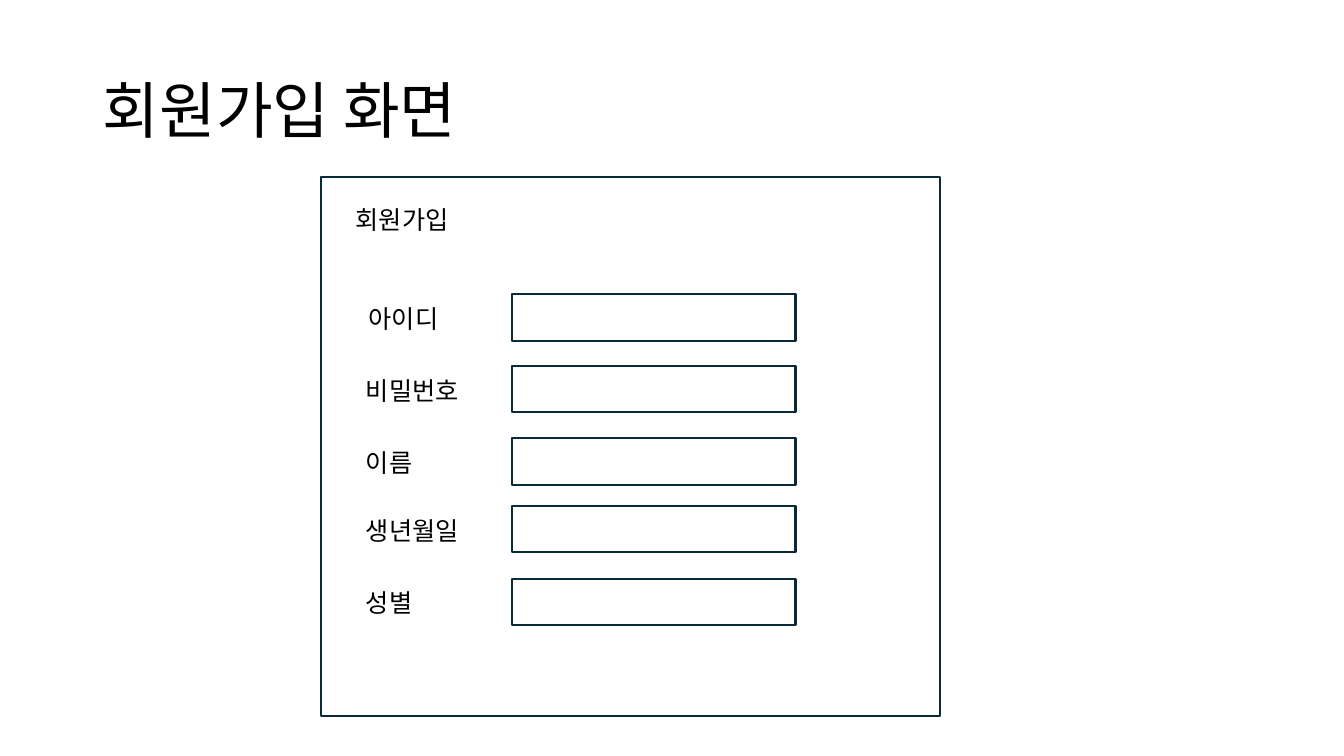
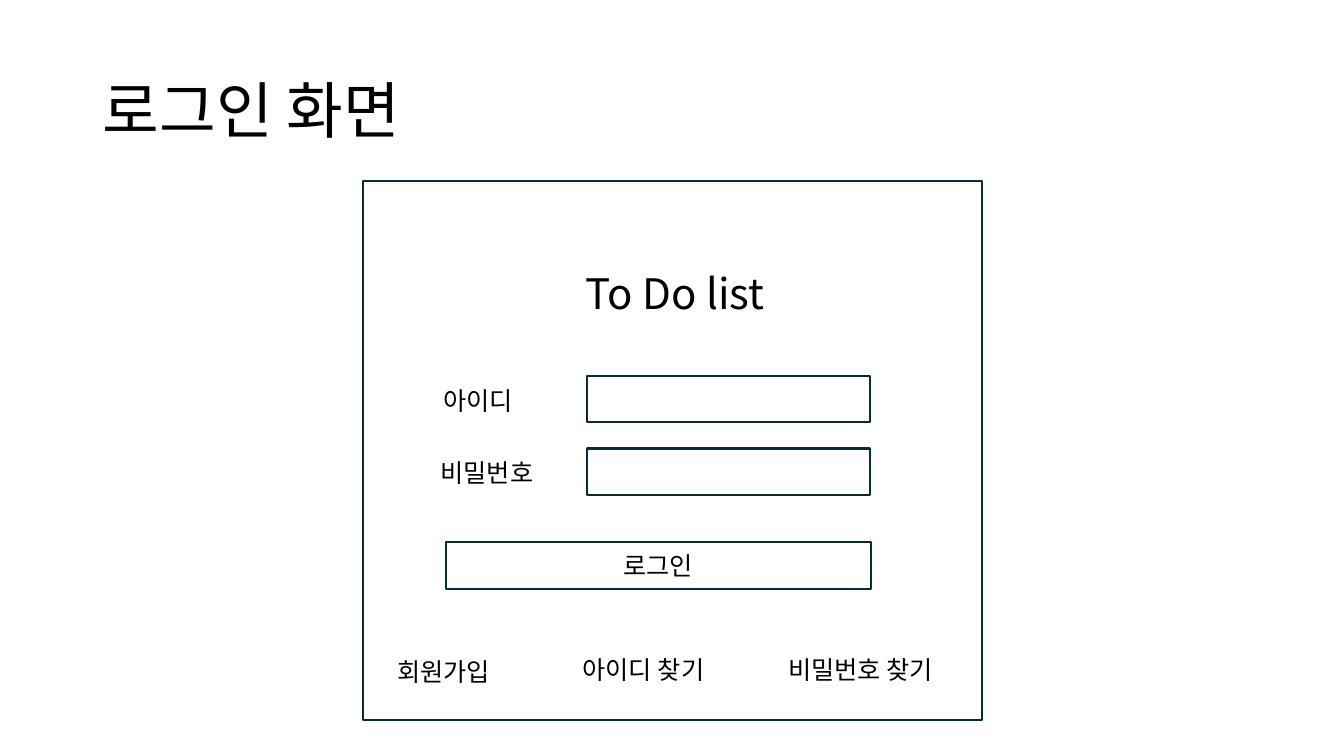
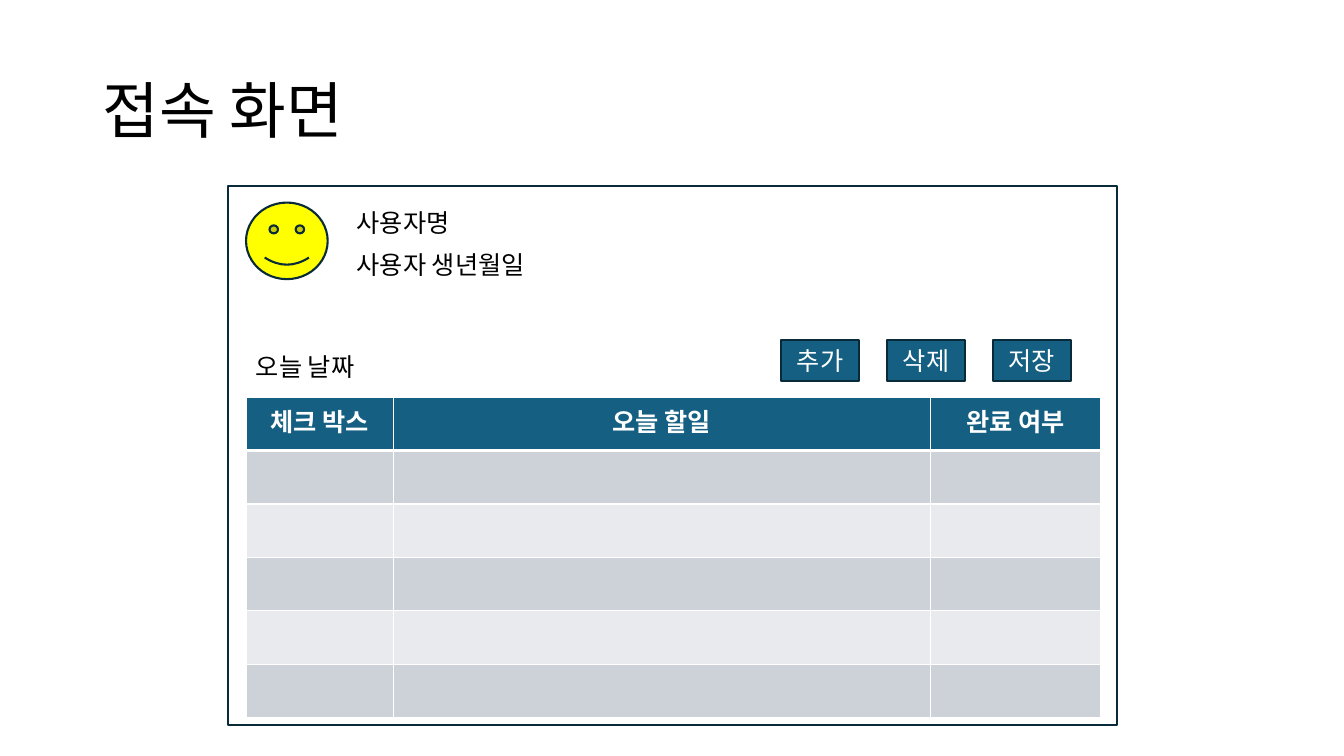
from dataclasses import dataclass

from lxml import etree
from pptx import Presentation
from pptx.dml.color import RGBColor
from pptx.enum.shapes import MSO_SHAPE
from pptx.enum.text import MSO_ANCHOR, MSO_AUTO_SIZE, PP_ALIGN
from pptx.oxml.ns import qn
from pptx.slide import Slide
from pptx.table import _Cell
from pptx.text.text import TextFrame
from pptx.util import Inches, Pt

RECT, SMILEY = MSO_SHAPE.RECTANGLE, MSO_SHAPE.SMILEY_FACE
TOP, MIDDLE = MSO_ANCHOR.TOP, MSO_ANCHOR.MIDDLE
LEFT, CENTER = PP_ALIGN.LEFT, PP_ALIGN.CENTER
GROW = MSO_AUTO_SIZE.SHAPE_TO_FIT_TEXT

FONT = "Noto Sans CJK KR"
COLORS = {
    "white": "FFFFFF",
    "black": "000000",
    "outline": "092A39",
    "accent": "156082",
    "face": "FFFF00",
    "band_dark": "CCD2D8",
    "band_light": "E8EAED",
}
FIELD_WIDTH, FIELD_HEIGHT = 2.81, 0.46
LABEL_HEIGHT, LABEL_DROP = 0.4, 0.04


@dataclass(frozen=True)
class Box:
    left: float
    top: float
    width: float
    height: float


@dataclass(frozen=True)
class Label:
    text: str
    box: Box
    size: int = 18
    wrap: bool = False


@dataclass(frozen=True)
class Field:
    """An input row: its caption starts `lead` inches left of the input box."""
    caption: str
    lead: float
    caption_width: float
    top: float


SIGNUP_FIELDS = (
    Field("아이디", 1.52, 0.96, 2.92),
    Field("비밀번호", 1.55, 1.21, 3.63),
    Field("이름", 1.55, 0.71, 4.35),
    Field("생년월일", 1.55, 1.21, 5.02),
    Field("성별", 1.55, 0.71, 5.74),
)
LOGIN_FIELDS = (
    Field("아이디", 1.52, 0.96, 3.73),
    Field("비밀번호", 1.55, 1.21, 4.45),
)
LOGIN_LABELS = (
    Label("To Do list", Box(5.71, 2.6, 2.02, 0.61), size=30),
    Label("회원가입", Box(3.84, 6.46, 1.21, LABEL_HEIGHT)),
    Label("아이디 찾기", Box(5.68, 6.44, 1.55, LABEL_HEIGHT)),
    Label("비밀번호 찾기", Box(7.72, 6.44, 1.81, LABEL_HEIGHT)),
)
HOME_LABELS = (
    Label("사용자명", Box(3.44, 2.01, 1.36, LABEL_HEIGHT), wrap=True),
    Label("사용자 생년월일", Box(3.44, 2.42, 2.15, LABEL_HEIGHT), wrap=True),
    Label("오늘 날짜", Box(2.44, 3.44, 1.3, LABEL_HEIGHT)),
)
TODO_ACTIONS = ("추가", "삭제", "저장")
TODO_COLUMNS = (("체크 박스", 1.46), ("오늘 할일", 5.33), ("완료 여부", 1.69))
TODO_ROWS, TODO_ROW_HEIGHT = 6, 0.53


def rgb(color: str) -> RGBColor:
    return RGBColor.from_string(COLORS[color])


def inches(box: Box) -> tuple[Inches, ...]:
    return tuple(Inches(v) for v in (box.left, box.top, box.width, box.height))


def write(frame: TextFrame, text: str, *, size: int = 18, color: str = "black",
          bold: bool = False, align: PP_ALIGN = LEFT, anchor: MSO_ANCHOR = TOP,
          wrap: bool = True, spacing: float = 1.0) -> None:
    frame.word_wrap = wrap
    frame.vertical_anchor = anchor
    paragraph = frame.paragraphs[0]
    paragraph.alignment = align
    paragraph.line_spacing = spacing
    run = paragraph.add_run()
    run.text = text
    run.font.size = Pt(size)
    run.font.bold = bold
    run.font.color.rgb = rgb(color)
    run.font.name = FONT
    east_asian = etree.SubElement(run.font._element, qn("a:ea"))
    east_asian.set("typeface", FONT)


def add_outlined(slide: Slide, box: Box, *, preset: MSO_SHAPE = RECT,
                 fill: str = "white", text: str = "", color: str = "black") -> None:
    shape = slide.shapes.add_shape(preset, *inches(box))
    shape.shadow.inherit = False
    shape.fill.solid()
    shape.fill.fore_color.rgb = rgb(fill)
    shape.line.color.rgb = rgb("outline")
    shape.line.width = Pt(1.5)
    if text:
        write(shape.text_frame, text, color=color, align=CENTER, anchor=MIDDLE)


def add_label(slide: Slide, label: Label) -> None:
    frame = slide.shapes.add_textbox(*inches(label.box)).text_frame
    frame.auto_size = GROW
    write(frame, label.text, size=label.size, wrap=label.wrap)


def add_field(slide: Slide, field: Field, left: float) -> None:
    add_outlined(slide, Box(left, field.top, FIELD_WIDTH, FIELD_HEIGHT))
    add_label(slide, Label(field.caption, Box(
        left - field.lead, field.top + LABEL_DROP, field.caption_width, LABEL_HEIGHT)))


def add_screen(deck: Presentation, title: str, panel: Box) -> Slide:
    """Add a slide with its title and the framed screen mock-up."""
    slide = deck.slides.add_slide(deck.slide_layouts[6])
    heading = slide.shapes.add_textbox(*inches(Box(0.92, 0.4, 11.5, 1.45)))
    write(heading.text_frame, title, size=44, anchor=MIDDLE, spacing=0.9)
    add_outlined(slide, panel)
    return slide


def set_borders(cell: _Cell, widths: dict[str, float]) -> None:
    """Draw white borders; widths maps L, R, T, B, in that order, to points."""
    properties = cell._tc.get_or_add_tcPr()
    for position, (side, width) in enumerate(widths.items()):
        line = etree.Element(qn(f"a:ln{side}"), w=str(Pt(width)))
        fill = etree.SubElement(line, qn("a:solidFill"))
        etree.SubElement(fill, qn("a:srgbClr"), val=COLORS["white"])
        properties.insert(position, line)


def add_todo_table(slide: Slide, left: float, top: float) -> None:
    box = Box(left, top, sum(width for _, width in TODO_COLUMNS),
              TODO_ROWS * TODO_ROW_HEIGHT)
    table = slide.shapes.add_table(TODO_ROWS, len(TODO_COLUMNS), *inches(box)).table
    for row in table.rows:
        row.height = Inches(TODO_ROW_HEIGHT)
    for c, (header, width) in enumerate(TODO_COLUMNS):
        table.columns[c].width = Inches(width)
        write(table.cell(0, c).text_frame, header, color="white", bold=True, align=CENTER)
        for r in range(TODO_ROWS):
            cell = table.cell(r, c)
            band = "band_dark" if r % 2 else "band_light"
            cell.fill.solid()
            cell.fill.fore_color.rgb = rgb(band if r else "accent")
            set_borders(cell, {"L": 1, "R": 1, "T": 3 if r == 1 else 1,
                               "B": 1 if r else 3})


def build_signup(deck: Presentation) -> None:
    slide = add_screen(deck, "회원가입 화면", Box(3.18, 1.76, 6.14, 5.34))
    add_label(slide, Label("회원가입", Box(3.43, 1.98, 1.21, LABEL_HEIGHT)))
    for field in SIGNUP_FIELDS:
        add_field(slide, field, 5.08)


def build_login(deck: Presentation) -> None:
    slide = add_screen(deck, "로그인 화면", Box(3.6, 1.8, 6.14, 5.34))
    for field in LOGIN_FIELDS:
        add_field(slide, field, 5.82)
    for label in LOGIN_LABELS:
        add_label(slide, label)
    add_outlined(slide, Box(4.42, 5.38, 4.22, FIELD_HEIGHT), text="로그인")


def build_home(deck: Presentation) -> None:
    slide = add_screen(deck, "접속 화면", Box(2.26, 1.85, 8.82, 5.34))
    add_outlined(slide, Box(2.44, 2.01, 0.81, 0.76), preset=SMILEY, fill="face")
    for label in HOME_LABELS:
        add_label(slide, label)
    for i, action in enumerate(TODO_ACTIONS):
        add_outlined(slide, Box(7.75 + 1.05 * i, 3.37, 0.77, 0.41),
                     fill="accent", text=action, color="white")
    add_todo_table(slide, 2.44, 3.94)


def main() -> None:
    deck = Presentation()
    deck.slide_width, deck.slide_height = Inches(13.33), Inches(7.5)
    build_signup(deck)
    build_login(deck)
    build_home(deck)
    deck.save("out.pptx")


if __name__ == "__main__":
    main()
